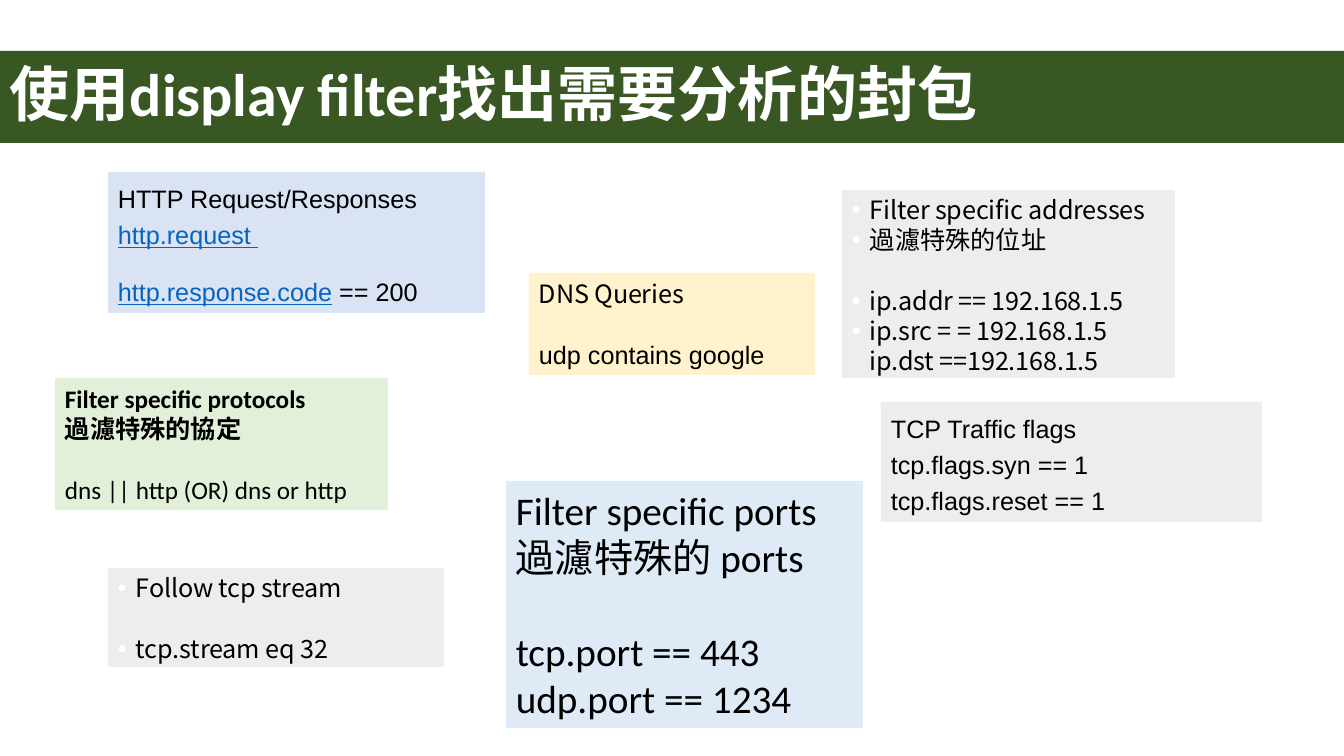
from lxml.etree import SubElement
from pptx import Presentation
from pptx.dml.color import RGBColor
from pptx.enum.shapes import MSO_SHAPE
from pptx.enum.text import MSO_ANCHOR, PP_ALIGN
from pptx.oxml.ns import qn
from pptx.util import Pt

PX = 914400 / 100.8
BLACK = RGBColor(0x00, 0x00, 0x00)
WHITE = RGBColor(0xFF, 0xFF, 0xFF)
FOREST = RGBColor(0x38, 0x57, 0x23)
LINK = RGBColor(0x05, 0x63, 0xC1)
GRAY = RGBColor(0xED, 0xED, 0xED)
GREEN = RGBColor(0xE2, 0xF0, 0xD9)
SKY = RGBColor(0xDE, 0xEB, 0xF7)
CREAM = RGBColor(0xFF, 0xF2, 0xCC)
BLUE = RGBColor(0xDA, 0xE3, 0xF3)
NOTO = "Noto Sans CJK SC"


def px(count):
    """Turn pixels into EMU."""
    return round(count * PX)


def add_dot(para):
    """Give a paragraph a white bullet with a hanging indent."""
    props = para._p.get_or_add_pPr()
    props.set("marL", str(px(18)))
    props.set("indent", str(px(-18)))
    tint = SubElement(props, qn("a:buClr"))
    SubElement(tint, qn("a:srgbClr"), val=str(WHITE))
    SubElement(props, qn("a:buFont"), typeface="Arial")
    SubElement(props, qn("a:buChar"), char="•")
    tabs = SubElement(props, qn("a:tabLst"))
    SubElement(tabs, qn("a:tab"), pos=str(px(18)), algn="l")


def write(frame, text, size=18, font="Calibri", color=BLACK, bold=False,
          under=False, line=None, before=0, track=0, dot=False, join=False):
    """Write a paragraph, or join a run to the last one."""
    para = frame.paragraphs[-1]
    if not join:
        if para.runs:
            para = frame.add_paragraph()
        if dot:
            add_dot(para)
        para.alignment = PP_ALIGN.LEFT
        para.space_before = Pt(before)
        if line:
            para.line_spacing = line
    run = para.add_run()
    run.text = text
    face = run.font
    face.size, face.name = Pt(size), font
    face.bold, face.underline = bold, under
    face.color.rgb = color
    if track:
        run._r.get_or_add_rPr().set("spc", str(track))


def add_box(slide, box, fill, anchor=MSO_ANCHOR.TOP):
    """Draw a plain filled box and return its text frame."""
    shape = slide.shapes.add_shape(MSO_SHAPE.RECTANGLE, *map(px, box))
    shape.shadow.inherit = False
    shape.fill.solid()
    shape.fill.fore_color.rgb = fill
    shape.line.fill.background()
    frame = shape.text_frame
    frame.word_wrap = True
    frame.vertical_anchor = anchor
    return frame


def add_title(slide, box, text):
    """Draw the title bar."""
    frame = add_box(slide, box, FOREST, MSO_ANCHOR.MIDDLE)
    write(frame, text, size=42.9, color=WHITE, bold=True, line=0.9)


def add_card(slide, box, fill, style, lines):
    """Draw a filter card: a shared style and its lines with overrides."""
    frame = add_box(slide, box, fill)
    for text, extra in lines:
        write(frame, text, **{**style, **extra})


def main():
    """Build the slide."""
    deck = Presentation()
    deck.slide_width, deck.slide_height = px(1344), px(756)
    slide = deck.slides.add_slide(deck.slide_layouts[6])

    dots = dict(font=NOTO, line=Pt(21.4), track=-10, dot=True)
    arial = dict(font="Arial", line=1.2)
    link = dict(color=LINK, under=True)
    bold = dict(bold=True)
    gap = dict(before=22)

    add_card(slide, (842, 190, 333, 188), GRAY, dots, [
        ("Filter specific addresses", {}),
        ("過濾特殊的位址", dict(font="Calibri", track=0)),
        ("ip.addr == 192.168.1.5", gap),
        ("ip.src = = 192.168.1.5 ip.dst ==192.168.1.5", {})])
    add_card(slide, (55, 378, 333, 132), GREEN, {}, [
        ("Filter specific protocols", bold),
        ("過濾特殊的協定", bold),
        ("dns || http (OR) dns or http", gap)])
    add_card(slide, (506, 481, 357, 247), SKY, dict(size=28), [
        ("Filter specific ports", {}),
        ("過濾特殊的 ports", {}),
        ("tcp.port == 443", dict(before=34)),
        ("udp.port == 1234", {})])
    add_card(slide, (108, 568, 336, 99), GRAY, dots, [
        ("Follow tcp stream", {}),
        ("tcp.stream eq 32", gap)])
    add_card(slide, (529, 273, 286, 102), CREAM, {}, [
        ("DNS Queries", dict(font=NOTO, track=-10)),
        ("udp contains google", dict(font="Arial", before=22))])
    add_card(slide, (108, 172, 377, 141), BLUE, arial, [
        ("HTTP Request/Responses", {}),
        ("http.request ", link),
        ("http.response.code", dict(link, before=15)),
        (" == 200", dict(join=True))])
    add_card(slide, (881, 402, 381, 120), GRAY, arial, [
        ("TCP Traffic flags", {}),
        ("tcp.flags.syn == 1", {}),
        ("tcp.flags.reset == 1", {})])
    add_title(slide, (0, 51, 1344, 92), "使用display filter找出需要分析的封包")

    deck.save("out.pptx")


if __name__ == "__main__":
    main()
